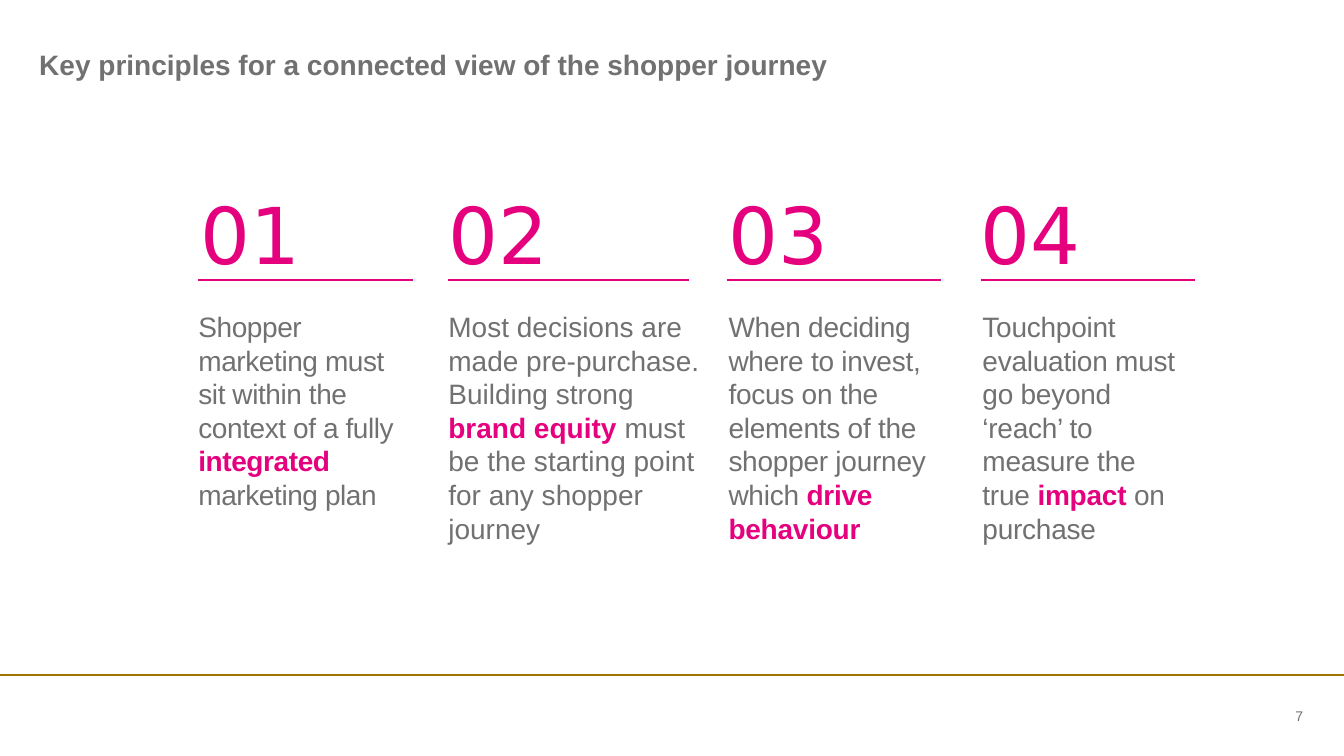
from dataclasses import dataclass
from lxml import etree
from pptx import Presentation
from pptx.dml.color import RGBColor
from pptx.enum.shapes import MSO_CONNECTOR
from pptx.enum.text import MSO_ANCHOR, PP_ALIGN
from pptx.oxml.ns import qn
from pptx.util import Cm, Pt

STRAIGHT = MSO_CONNECTOR.STRAIGHT
TOP, MIDDLE = MSO_ANCHOR.TOP, MSO_ANCHOR.MIDDLE
LEFT, RIGHT = PP_ALIGN.LEFT, PP_ALIGN.RIGHT


@dataclass(frozen=True)
class Theme:
    grey: RGBColor = RGBColor(0x71, 0x71, 0x71)
    pink: RGBColor = RGBColor(0xE5, 0x00, 0x7E)
    gold: RGBColor = RGBColor(0xA0, 0x74, 0x00)
    text_font: str = "Arial"
    number_font: str = "DejaVu Sans"
    text_size: Pt = Pt(20)
    leading: Pt = Pt(24)
    number_size: Pt = Pt(56)
    page_size: Pt = Pt(10)
    rule_weight: Pt = Pt(1.5)


@dataclass(frozen=True)
class Principle:
    number: str
    left: float
    rule_width: float
    body_width: float
    number_shift: float
    body_shift: float
    tracking: int
    before: str
    key: str
    after: str


THEME = Theme()
SLIDE_WIDTH, SLIDE_HEIGHT = 33.87, 19.05
PRINCIPLES_TOP = 4.5
PRINCIPLES = [
    Principle("01", 5.0, 5.41, 5.41, 0.05, 0, -30,
              "Shopper marketing must sit within the context of a fully ",
              "integrated ", "marketing plan"),
    Principle("02", 11.3, 6.07, 6.63, 0, 0, 0,
              "Most decisions are made pre-purchase. Building strong ",
              "brand equity ", "must be the starting point for any shopper journey"),
    Principle("03", 18.31, 5.41, 5.38, 0.05, 0.05, -20,
              "When deciding where to invest, focus on the elements of the shopper journey which ",
              "drive behaviour", ""),
    Principle("04", 24.71, 5.41, 5.41, 0, 0.05, -20,
              "Touchpoint evaluation must go beyond ‘reach’ to measure the true ",
              "impact ", "on purchase"),
]


def add_rule(slide, left, top, width, color):
    rule = slide.shapes.add_connector(STRAIGHT, Cm(left), Cm(top), Cm(left + width), Cm(top))
    rule.line.color.rgb = color
    rule.line.width = THEME.rule_weight
    etree.SubElement(rule._element.spPr, qn("a:effectLst"))


def add_text(slide, box, runs, size, font=THEME.text_font, insets=(0, 0, 0, 0),
             anchor=TOP, align=LEFT, bold=None, leading=None, tracking=0):
    frame = slide.shapes.add_textbox(*map(Cm, box)).text_frame
    frame.word_wrap = True
    frame.vertical_anchor = anchor
    frame.margin_left, frame.margin_top, frame.margin_right, frame.margin_bottom = map(Cm, insets)
    paragraph = frame.paragraphs[0]
    paragraph.alignment = align
    paragraph.font.name = font
    paragraph.font.size = size
    paragraph.font.bold = bold
    if leading:
        paragraph.line_spacing = leading
    for words, color, emphasis in runs:
        run = paragraph.add_run()
        run.text = words
        run.font.color.rgb = color
        if emphasis:
            run.font.bold = True
        if tracking:
            run.font._element.set("spc", str(tracking))


def add_heading(slide, left, top, width, height):
    add_text(slide, (left, top, width, height),
             [("Key principles for a connected view of the shopper journey", THEME.grey, False)],
             THEME.text_size, bold=True)


def add_principle(slide, principle, top):
    left = principle.left
    add_text(slide, (left + principle.number_shift, top, 2.67, 1.02),
             [(principle.number, THEME.pink, False)],
             THEME.number_size, THEME.number_font, insets=(0, 0.18, 0, 0))
    add_rule(slide, left, top + 2.56, principle.rule_width, THEME.pink)
    runs = [(principle.before, THEME.grey, False), (principle.key, THEME.pink, True)]
    if principle.after:
        runs.append((principle.after, THEME.grey, False))
    add_text(slide, (left + principle.body_shift, top + 3.17, principle.body_width, 2.74),
             runs, THEME.text_size, insets=(0, 0.13, 0.25, 0.13),
             leading=THEME.leading, tracking=principle.tracking)


def add_footer(slide, left, top, width):
    add_rule(slide, left, top, width, THEME.gold)
    add_text(slide, (left + width - 3.72, top + 0.74, 2.69, 0.56),
             [("7", THEME.grey, False)], THEME.page_size, anchor=MIDDLE, align=RIGHT)


def main():
    deck = Presentation()
    deck.slide_width, deck.slide_height = Cm(SLIDE_WIDTH), Cm(SLIDE_HEIGHT)
    slide = deck.slides.add_slide(deck.slide_layouts[6])
    add_heading(slide, 0.99, 1.19, 31.85, 1.96)
    for principle in PRINCIPLES:
        add_principle(slide, principle, PRINCIPLES_TOP)
    add_footer(slide, 0, 17.02, SLIDE_WIDTH)
    deck.save("out.pptx")


if __name__ == "__main__":
    main()
